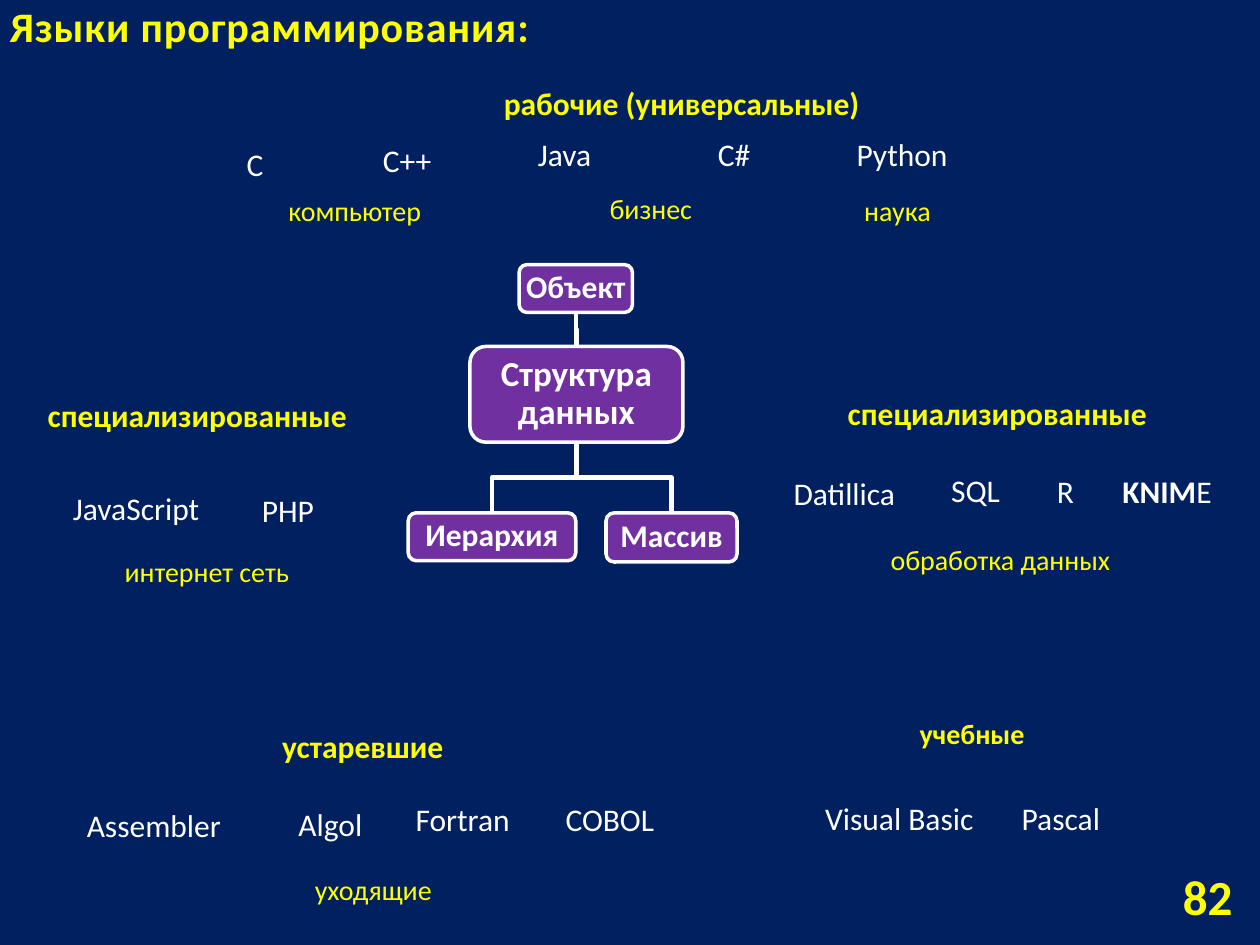
from lxml import etree
from pptx import Presentation
from pptx.dml.color import RGBColor
from pptx.enum.shapes import MSO_CONNECTOR, MSO_SHAPE
from pptx.enum.text import MSO_ANCHOR as ANCHOR, PP_ALIGN as ALIGN
from pptx.oxml.ns import qn
from pptx.util import Inches, Pt

NAVY, YELLOW, WHITE, PURPLE = "002060", "FFFF00", "FFFFFF", "7030A0"
FONT = "Calibri"


def rgb(color):
    return RGBColor.from_string(color)


def add_run(p, text, size, color, bold=False):
    r = p.add_run()
    r.text = text
    r.font.name = FONT
    r.font.size = Pt(size)
    r.font.bold = bold
    r.font.color.rgb = rgb(color)
    return r


def add_label(slide, box, runs, size, color, align=ALIGN.LEFT,
              anchor=ANCHOR.TOP, wrap=False):
    """Add one line of text; runs is a list of (text, bold) pairs."""
    tf = slide.shapes.add_textbox(*map(Inches, box)).text_frame
    tf.word_wrap = wrap
    tf.vertical_anchor = anchor
    p = tf.paragraphs[0]
    p.alignment = align
    return [add_run(p, text, size, color, bold) for text, bold in runs]


def add_title(slide, box, text):
    r, = add_label(slide, box, [(text, True)], 24, YELLOW,
                   anchor=ANCHOR.BOTTOM, wrap=True)
    r.font._element.set("spc", "50")


def add_page_number(slide, box, number):
    add_label(slide, box, [(number, True)], 28, YELLOW, ALIGN.RIGHT,
              ANCHOR.MIDDLE, True)


def add_language_group(slide, box, heading, languages, notes, heading_size=18):
    """Place a heading, language names and notes, each at (x, y, width) in box."""
    left, top = box

    def place(item, height, size, color, bold=False, wrap=False):
        x, y, width, text = item
        runs = [(text, bold)] if isinstance(text, str) else text
        add_label(slide, (left + x, top + y, width, height), runs, size, color,
                  wrap=wrap)

    place(heading, 0.4, heading_size, YELLOW, True, True)
    for language in languages:
        place(language, 0.4, 18, WHITE)
    for note in notes:
        place(note, 0.37, 16, YELLOW, wrap=True)


def add_node(slide, box, text, size=18):
    sp = slide.shapes.add_shape(MSO_SHAPE.ROUNDED_RECTANGLE, *map(Inches, box))
    sp.shadow.inherit = False
    sp.fill.solid()
    sp.fill.fore_color.rgb = rgb(PURPLE)
    sp.line.color.rgb = rgb(WHITE)
    sp.line.width = Pt(2)
    tf = sp.text_frame
    tf.word_wrap = True
    tf.vertical_anchor = ANCHOR.MIDDLE
    tf.margin_left = tf.margin_right = Inches(0.03)
    tf.margin_top = tf.margin_bottom = Inches(0.03)
    p = tf.paragraphs[0]
    p.alignment = ALIGN.CENTER
    p.line_spacing = 0.9
    add_run(p, text, size, WHITE, True)
    return sp


def add_branch(slide, parent, child):
    """Join parent's bottom to child's top with an elbow that leaves downwards."""
    x1, y1 = parent.left + parent.width // 2, parent.top + parent.height
    x2, y2 = child.left + child.width // 2, child.top
    cxn = slide.shapes.add_connector(MSO_CONNECTOR.ELBOW, x1, y1, x2, y2)
    cxn.begin_connect(parent, 2)
    cxn.end_connect(child, 0)
    # A downward elbow is a sideways one turned by a quarter about its centre
    cxn.width, cxn.height = y2 - y1, abs(x2 - x1)
    cxn.left = (x1 + x2 - cxn.width) // 2
    cxn.top = (y1 + y2 - cxn.height) // 2
    goes_left = x2 < x1
    cxn.rotation = 90 if goes_left else 270
    sp_pr = cxn._element.spPr
    sp_pr.find(qn("a:xfrm")).set("flipH", "0" if goes_left else "1")
    cxn.line.color.rgb = rgb(WHITE)
    cxn.line.width = Pt(2.5)
    etree.SubElement(sp_pr, qn("a:effectLst"))


def add_structure_tree(slide, box):
    left, top = box

    def node(x, y, width, height, text, size=18):
        return add_node(slide, (left + x, top + y, width, height), text, size)

    root = node(0.88, 0, 0.9, 0.38, "Объект")
    structure = node(0.49, 0.65, 1.69, 0.76, "Структура данных", 20)
    leaves = [node(0, 1.97, 1.33, 0.38, "Иерархия"),
              node(1.57, 1.97, 1.04, 0.39, "Массив")]
    add_branch(slide, root, structure)
    for leaf in leaves:
        add_branch(slide, structure, leaf)


def main():
    prs = Presentation()
    prs.slide_width, prs.slide_height = Inches(10), Inches(7.5)
    slide = prs.slides.add_slide(prs.slide_layouts[6])
    slide.background.fill.solid()
    slide.background.fill.fore_color.rgb = rgb(NAVY)

    add_title(slide, (-0.02, -0.01, 4.42, 0.46), "Языки программирования:")
    add_structure_tree(slide, (3.24, 2.1))

    # General-purpose
    add_language_group(
        slide, (1.8, 0.62), (2.1, 0, 3.36, "рабочие (универсальные)"),
        [(0.06, 0.48, 0.33, "C"), (1.14, 0.45, 0.59, "C++"),
         (2.37, 0.4, 0.63, "Java"), (3.8, 0.4, 0.46, "C#"),
         (4.9, 0.4, 0.93, "Python")],
        [(0.39, 0.87, 1.43, "компьютер"), (2.94, 0.85, 0.91, "бизнес"),
         (4.96, 0.87, 0.83, "наука")])
    # Web
    add_language_group(
        slide, (0.28, 3.09), (0, 0, 2.83, "специализированные"),
        [(0.2, 0.74, 1.21, "JavaScript"), (1.7, 0.76, 0.62, "PHP")],
        [(0.61, 1.26, 1.71, "интернет сеть")])
    # Data processing
    add_language_group(
        slide, (6.2, 3.08), (0.43, 0, 2.83, "специализированные"),
        [(0, 0.63, 1.12, "Datillica"), (1.25, 0.61, 0.59, "SQL"),
         (2.09, 0.62, 0.34, "R"),
         (2.61, 0.62, 0.92, [("KNIM", True), ("E", False)])],
        [(0.77, 1.18, 2.42, "обработка данных")])
    # Obsolete
    add_language_group(
        slide, (0.59, 5.72), (1.55, 0, 1.59, "устаревшие"),
        [(0, 0.63, 1.28, "Assembler"), (1.68, 0.62, 0.71, "Algol"),
         (2.61, 0.58, 0.95, "Fortran"), (3.8, 0.58, 0.91, "COBOL")],
        [(1.81, 1.16, 1.43, "уходящие")])
    # Teaching
    add_language_group(
        slide, (6.45, 5.64), (0.75, 0, 1.06, "учебные"),
        [(0, 0.65, 1.42, "Visual Basic"), (1.56, 0.65, 0.85, "Pascal")],
        [], heading_size=16)

    add_page_number(slide, (8.7, 6.91, 1.18, 0.4), "82")
    prs.save("out.pptx")


if __name__ == "__main__":
    main()
